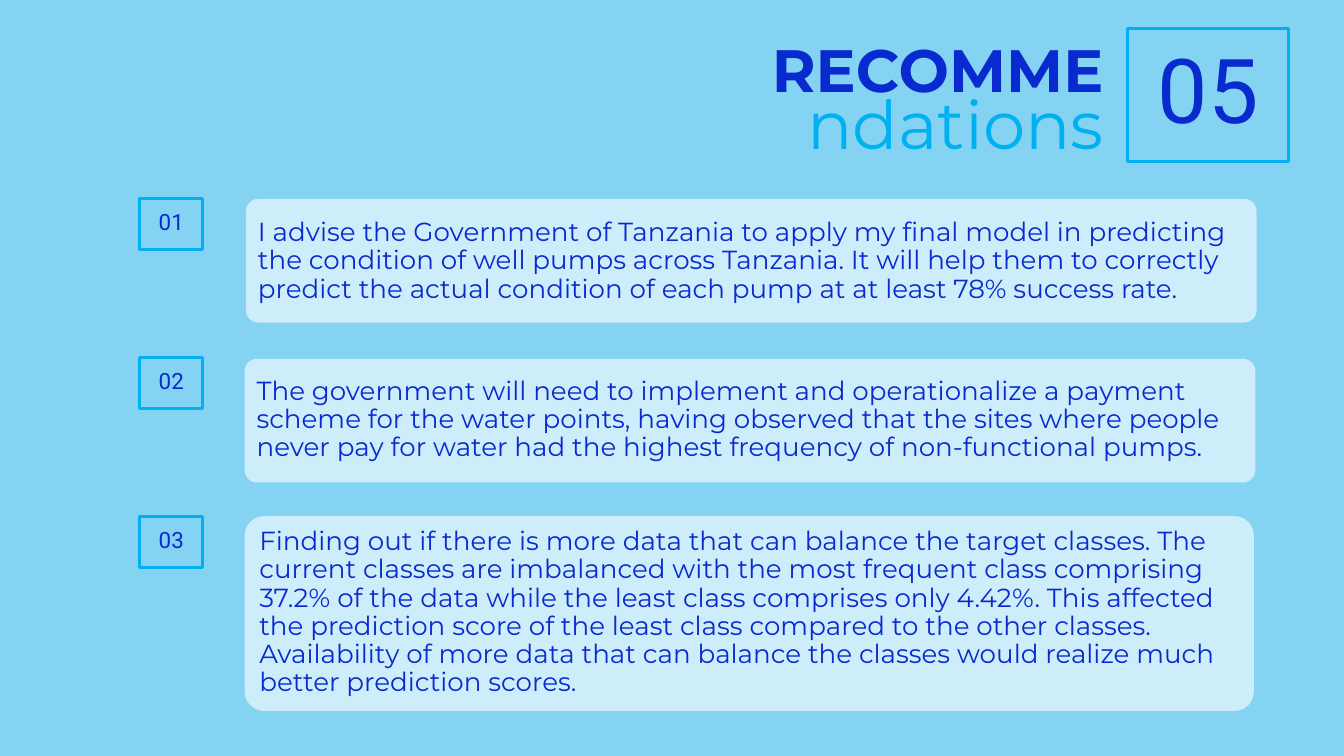
from pptx import Presentation
from pptx.dml.color import RGBColor
from pptx.enum import shapes, text
from pptx.util import Inches, Pt

NAVY, CYAN, SKY, PALE = "092ACE", "00B0F0", "85D3F2", "CEEDFA"
RECOMMENDATIONS = [
    ("I advise the Government of Tanzania to apply my final model in predicting "
     "the condition of well pumps across Tanzania. It will help them to correctly "
     "predict the actual condition of each pump at at least 78% success rate.",
     (1.83, 1.48, 7.52, 0.92), (1.86, 1.51, 7.46, 0.87)),
    ("The government will need to implement and operationalize a payment "
     "scheme for the water points, having observed that the sites where people "
     "never pay for water had the highest frequency of non-functional pumps.",
     (1.82, 2.67, 7.52, 0.92), (1.85, 2.69, 7.46, 0.87)),
    ("Finding out if there is more data that can balance the target classes. The "
     "current classes are imbalanced with the most frequent class comprising "
     "37.2% of the data while the least class comprises only 4.42%. This affected "
     "the prediction score of the least class compared to the other classes. "
     "Availability of more data that can balance the classes would realize much "
     "better prediction scores.",
     (1.82, 3.84, 7.51, 1.45), (1.87, 3.88, 7.43, 1.36)),
]


def color(value):
    """Return the colour for a hex string."""
    return RGBColor.from_string(value)


def write(shape, words, size, font="Montserrat", fill=NAVY, align="LEFT",
          spacing=1.0, inset=0.1, anchor="MIDDLE", bold=False):
    """Put one formatted paragraph into a shape."""
    frame = shape.text_frame
    frame.text = words
    frame.word_wrap = True
    frame.vertical_anchor = getattr(text.MSO_ANCHOR, anchor)
    frame.margin_left = frame.margin_right = Inches(inset)
    frame.margin_top = frame.margin_bottom = Inches(inset)
    paragraph = frame.paragraphs[0]
    paragraph.alignment = getattr(text.PP_ALIGN, align)
    paragraph.line_spacing = spacing
    run = paragraph.runs[0]
    run.font.name = font
    run.font.size = Pt(size)
    run.font.bold = bold
    run.font.color.rgb = color(fill)


def add_title_line(slide, words, top, size, fill, bold):
    """Add one right-aligned line of the title."""
    box = slide.shapes.add_textbox(
        Inches(5.57), Inches(top), Inches(2.74), Inches(0.75))
    write(box, words, size, fill=fill, align="RIGHT", anchor="TOP", bold=bold)


def add_number(slide, words, place, size, spacing):
    """Add an outlined box with a centred number."""
    box = slide.shapes.add_shape(
        shapes.MSO_SHAPE.RECTANGLE, *map(Inches, place))
    box.shadow.inherit = False
    box.fill.background()
    box.line.color.rgb = color(CYAN)
    box.line.width = Pt(1.5)
    write(box, words, size, font="Roboto", align="CENTER", spacing=spacing)


def add_card(slide, words, panel_place, text_place):
    """Add a grouped rounded panel with its text."""
    group = slide.shapes.add_group_shape()
    panel = group.shapes.add_shape(
        shapes.MSO_SHAPE.ROUNDED_RECTANGLE, *map(Inches, panel_place))
    panel.adjustments[0] = 0.1
    panel.shadow.inherit = False
    panel.fill.solid()
    panel.fill.fore_color.rgb = color(PALE)
    panel.line.fill.background()
    box = group.shapes.add_textbox(*map(Inches, text_place))
    write(box, words, 14, spacing=0.9, inset=0.06)


def main():
    """Build and save the slide."""
    presentation = Presentation()
    presentation.slide_width = Inches(10)
    presentation.slide_height = Inches(10 * 9 / 16)
    slide = presentation.slides.add_slide(presentation.slide_layouts[6])
    slide.background.fill.solid()
    slide.background.fill.fore_color.rgb = color(SKY)
    add_title_line(slide, "RECOMME", 0.14, 32, NAVY, True)
    add_number(slide, "05", (8.39, 0.21, 1.2, 0.99), 48, 0.9)
    add_title_line(slide, "ndations", 0.51, 36, CYAN, False)
    for index, (words, panel_place, text_place) in enumerate(RECOMMENDATIONS):
        place = (1.04, 1.48 + 1.18 * index, 0.47, 0.38)
        add_number(slide, f"{index + 1:02d}", place, 12, 0.8)
        add_card(slide, words, panel_place, text_place)
    presentation.save("out.pptx")


if __name__ == "__main__":
    main()
